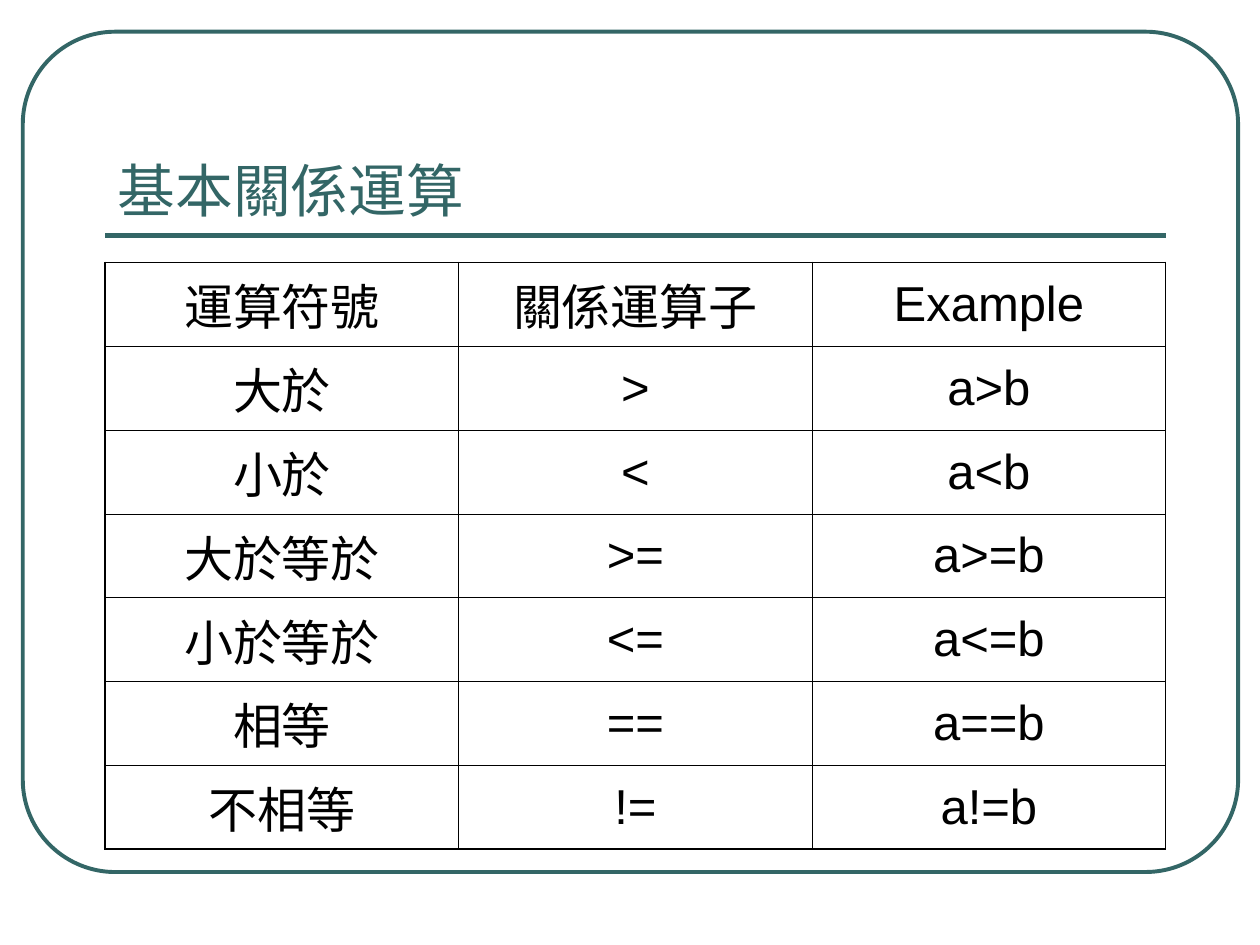
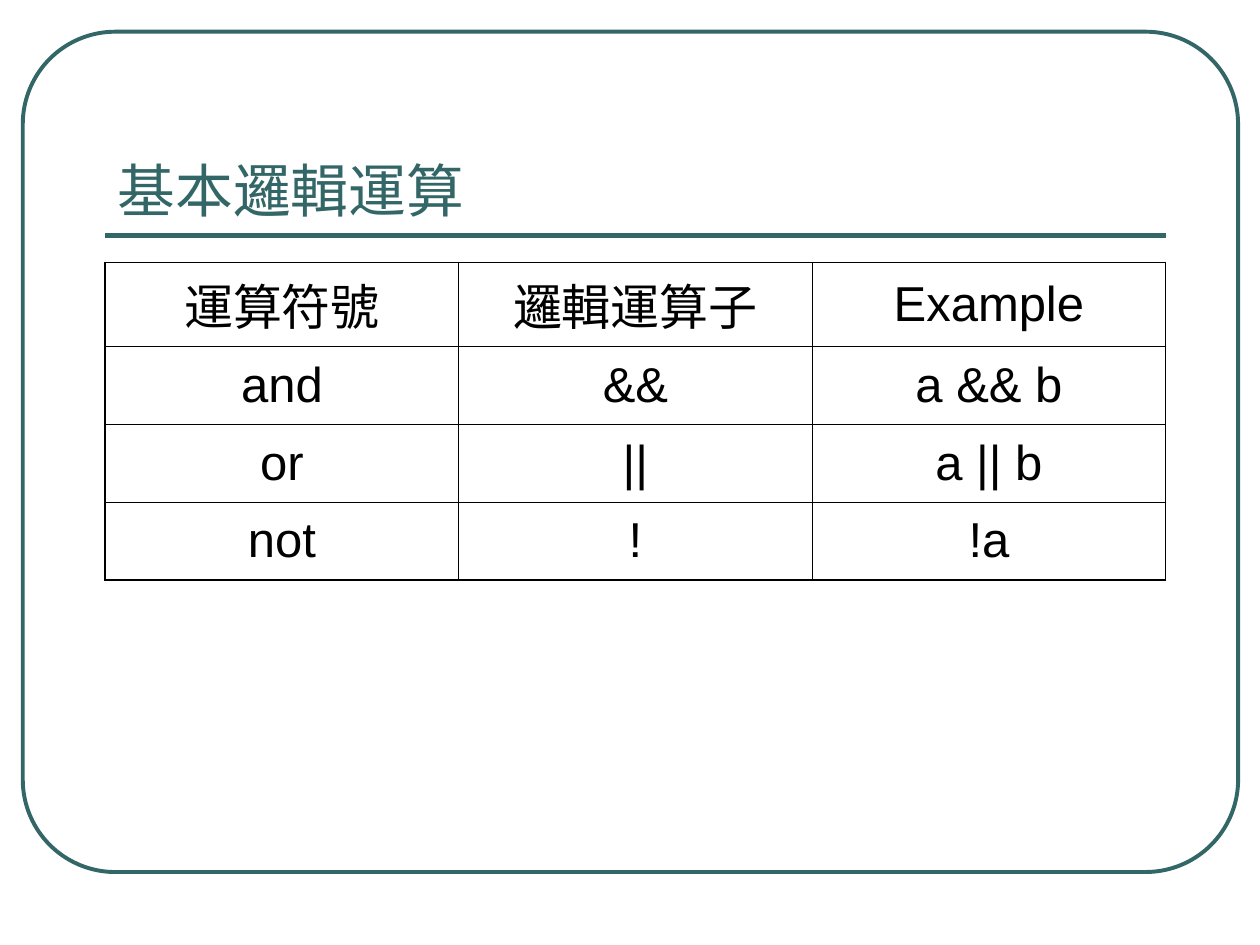
from dataclasses import dataclass

from lxml import etree
from pptx import Presentation
from pptx.dml.color import RGBColor
from pptx.enum.shapes import MSO_CONNECTOR, MSO_SHAPE
from pptx.enum.text import MSO_ANCHOR, PP_ALIGN
from pptx.oxml.ns import qn
from pptx.util import Cm, Pt

ROUND = MSO_SHAPE.ROUNDED_RECTANGLE
STRAIGHT = MSO_CONNECTOR.STRAIGHT
BOTTOM, MIDDLE = MSO_ANCHOR.BOTTOM, MSO_ANCHOR.MIDDLE
LEFT, CENTER = PP_ALIGN.LEFT, PP_ALIGN.CENTER
BLANK = 6


@dataclass(frozen=True)
class Theme:
    teal: str = "336666"
    ink: str = "000000"
    paper: str = "FFFFFF"
    head: str = "Montserrat"
    body: str = "Arial"
    head_size: float = 33
    body_size: float = 28
    gap: float = 7
    frame: float = 2.25
    rule: float = 3
    outer: float = 1.08
    inner: float = 0.45
    left: float = 2.12
    width: float = 21.38


class Deck:
    def __init__(self, theme):
        self.theme = theme
        self.prs = Presentation()
        self.prs.slide_width, self.prs.slide_height = Cm(25.4), Cm(19.05)
        self.slide = None

    def page(self, title):
        """Start a slide with the shared frame, rule and title."""
        self.slide = self.prs.slides.add_slide(self.prs.slide_layouts[BLANK])
        fill = self.slide.background.fill
        fill.solid()
        fill.fore_color.rgb = RGBColor.from_string(self.theme.paper)
        self.frame()
        self.rule()
        self.title(title)

    def stroke(self, line, width):
        line.color.rgb = RGBColor.from_string(self.theme.teal)
        line.width = Pt(width)

    def frame(self):
        box = self.slide.shapes.add_shape(ROUND, Cm(0.46), Cm(0.64), Cm(24.5), Cm(16.94))
        box.adjustments[0] = 0.11
        box.shadow.inherit = False
        box.fill.background()
        self.stroke(box.line, self.theme.frame)

    def rule(self):
        t, y = self.theme, Cm(4.75)
        line = self.slide.shapes.add_connector(
            STRAIGHT, Cm(t.left), y, Cm(t.left + t.width), y)
        self.stroke(line.line, t.rule)
        etree.SubElement(line._element.spPr, qn("a:effectLst"))

    def label(self, frame, text, font, size, color, align):
        frame.text = text
        para = frame.paragraphs[0]
        para.alignment = align
        style = para.runs[0].font
        style.name, style.size = font, Pt(size)
        style.color.rgb = RGBColor.from_string(color)
        return para

    def title(self, text):
        t = self.theme
        box = self.slide.shapes.add_textbox(Cm(t.left), Cm(1.47), Cm(t.width), Cm(3.18))
        frame = box.text_frame
        frame.word_wrap = True
        frame.vertical_anchor = BOTTOM
        self.label(frame, text, t.head, t.head_size, t.teal, LEFT)

    def table(self, rows, head, step):
        """Fill a grid; head and step are the heights of the first and later rows."""
        t = self.theme
        count, cols = len(rows), len(rows[0])
        high = head + step * (count - 1)
        grid = self.slide.shapes.add_table(
            count, cols, Cm(t.left), Cm(5.29), Cm(t.width), Cm(high)).table
        grid.first_row = grid.horz_banding = False
        for col in grid.columns:
            col.width = Cm(t.width / cols)
        for r, row in enumerate(rows):
            grid.rows[r].height = Cm(step if r else head)
            for c, text in enumerate(row):
                cell = grid.cell(r, c)
                cell.vertical_anchor = MIDDLE
                para = self.label(cell.text_frame, text, t.body, t.body_size, t.ink, CENTER)
                para.space_before = Pt(t.gap)
                self.border(cell, {"lnL": c == 0, "lnR": c == cols - 1,
                                   "lnT": r == 0, "lnB": r == count - 1})
                cell.fill.background()

    def border(self, cell, sides):
        """Draw each side, heavier where it lies on the table's edge."""
        props = cell._tc.get_or_add_tcPr()
        for tag, edge in sides.items():
            width = Pt(self.theme.outer if edge else self.theme.inner)
            line = etree.SubElement(props, qn(f"a:{tag}"), w=str(int(width)))
            fill = etree.SubElement(line, qn("a:solidFill"))
            etree.SubElement(fill, qn("a:srgbClr"), val=self.theme.ink)


def main():
    deck = Deck(Theme())

    deck.page("基本關係運算")
    signs = [("大於", ">"), ("小於", "<"), ("大於等於", ">="),
             ("小於等於", "<="), ("相等", "=="), ("不相等", "!=")]
    deck.table([("運算符號", "關係運算子", "Example")]
               + [(name, sign, f"a{sign}b") for name, sign in signs], 1.69, 1.69)

    deck.page("基本邏輯運算")
    deck.table([("運算符號", "邏輯運算子", "Example"),
                ("and", "&&", "a && b"),
                ("or", "||", "a || b"),
                ("not", "!", "!a")], 1.69, 1.57)

    deck.prs.save("out.pptx")


if __name__ == "__main__":
    main()
